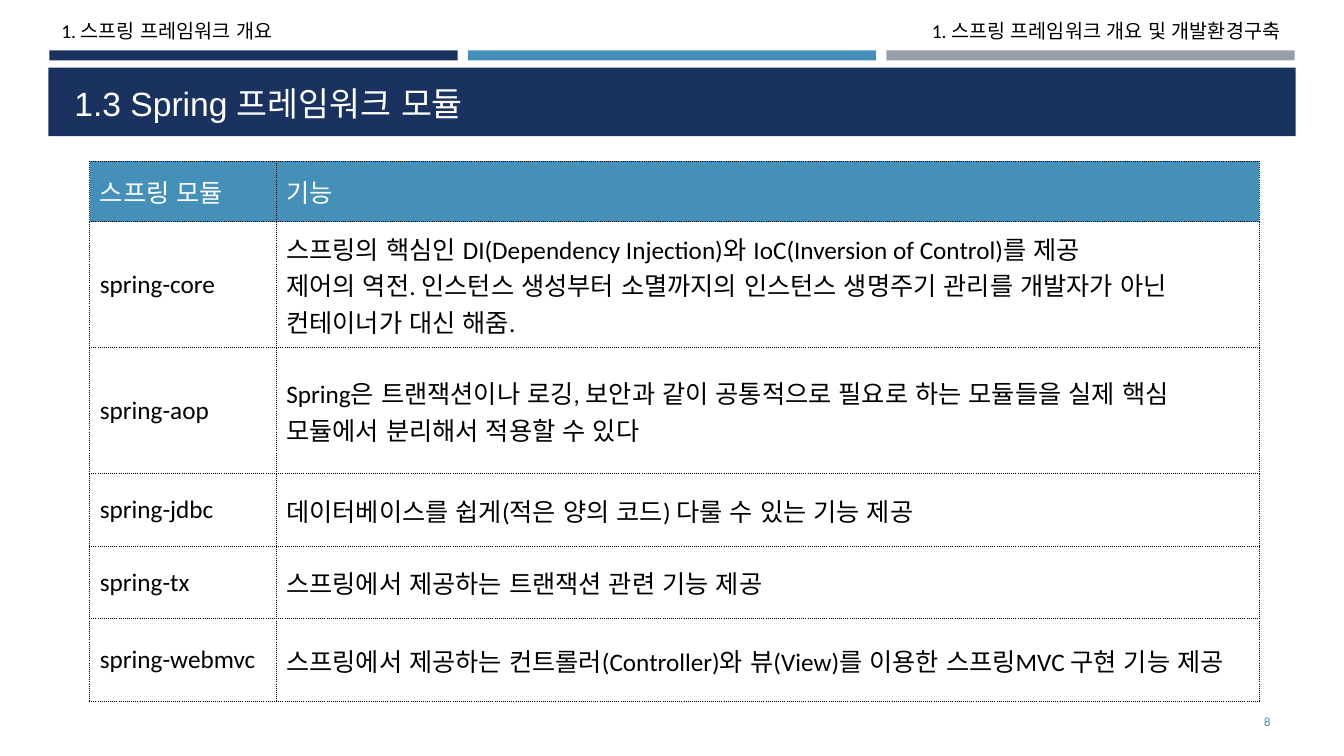
from lxml.etree import SubElement
from pptx import Presentation
from pptx.dml.color import RGBColor
from pptx.enum.lang import MSO_LANGUAGE_ID
from pptx.enum.shapes import MSO_SHAPE
from pptx.enum.text import MSO_ANCHOR, PP_ALIGN
from pptx.oxml.ns import qn
from pptx.util import Pt

NAVY = RGBColor(0x1A, 0x32, 0x60)
BLUE = RGBColor(0x45, 0x90, 0xB8)
GRAY = RGBColor(0x96, 0x9F, 0xA7)
BLACK = RGBColor(0, 0, 0)
WHITE = RGBColor(255, 255, 255)

SECTION = "1. 스프링 프레임워크 개요"
CHAPTER = "1. 스프링 프레임워크 개요 및 개발환경구축"
TITLE = "1.3 Spring 프레임워크 모듈"
PAGE_NUMBER = "8"
MODULES = [
    ("스프링 모듈", "기능"),
    ("spring-core",
     "스프링의 핵심인 DI(Dependency Injection)와 IoC(Inversion of Control)를 제공\n"
     "제어의 역전. 인스턴스 생성부터 소멸까지의 인스턴스 생명주기 관리를 개발자가 아닌 컨테이너가 대신 해줌."),
    ("spring-aop",
     "Spring은 트랜잭션이나 로깅, 보안과 같이 공통적으로 필요로 하는 모듈들을 실제 핵심 모듈에서 분리해서 적용할 수 있다"),
    ("spring-jdbc", "데이터베이스를 쉽게(적은 양의 코드) 다룰 수 있는 기능 제공"),
    ("spring-tx", "스프링에서 제공하는 트랜잭션 관련 기능 제공"),
    ("spring-webmvc",
     "스프링에서 제공하는 컨트롤러(Controller)와 뷰(View)를 이용한 스프링MVC 구현 기능 제공"),
]
COLUMN_WIDTHS = [185, 975]
ROW_HEIGHTS = [60, 125, 125, 72, 72, 82]
STRIPE_COLORS = [NAVY, BLUE, GRAY]
STRIPE_LEFT, STRIPE_WIDTH, STRIPE_STEP = 49, 405, 415

EMU_PER_PX = 9144


def px(*lengths):
    return [length * EMU_PER_PX for length in lengths]


def write_text(frame, text, size=18, color=BLACK, font="Calibri", align=PP_ALIGN.LEFT):
    frame.word_wrap = True
    frame.text = text
    for paragraph in frame.paragraphs:
        paragraph.alignment = align
        for run in paragraph.runs:
            run.font.size = Pt(size)
            run.font.name = font
            run.font.color.rgb = color
            run.font.language_id = MSO_LANGUAGE_ID.KOREAN


def add_text(slide, box, text, anchor=MSO_ANCHOR.TOP, **text_format):
    frame = slide.shapes.add_textbox(*px(*box)).text_frame
    frame.vertical_anchor = anchor
    write_text(frame, text, **text_format)


def add_bar(slide, box, color):
    shape = slide.shapes.add_shape(MSO_SHAPE.RECTANGLE, *px(*box))
    shape.shadow.inherit = False
    shape.fill.solid()
    shape.fill.fore_color.rgb = color
    shape.line.fill.background()


def add_dotted_borders(cell):
    properties = cell._tc.get_or_add_tcPr()
    for position, side in enumerate(("lnL", "lnR", "lnT", "lnB")):
        line = SubElement(properties, qn(f"a:{side}"), w=str(Pt(1)))
        fill = SubElement(line, qn("a:solidFill"))
        SubElement(fill, qn("a:srgbClr"), val=str(BLACK))
        SubElement(line, qn("a:prstDash"), val="sysDot")
        properties.insert(position, line)


def add_module_table(slide):
    box = px(89, 160, sum(COLUMN_WIDTHS), sum(ROW_HEIGHTS))
    table = slide.shapes.add_table(len(MODULES), len(COLUMN_WIDTHS), *box).table
    table.first_row = False
    table.horz_banding = False
    for column, width in zip(table.columns, px(*COLUMN_WIDTHS)):
        column.width = width
    for row, height in zip(table.rows, px(*ROW_HEIGHTS)):
        row.height = height
    for row_index, texts in enumerate(MODULES):
        is_header = row_index == 0
        for column_index, text in enumerate(texts):
            cell = table.cell(row_index, column_index)
            cell.vertical_anchor = MSO_ANCHOR.MIDDLE
            write_text(cell.text_frame, text, color=WHITE if is_header else BLACK)
            if is_header:
                cell.fill.solid()
                cell.fill.fore_color.rgb = BLUE
            else:
                cell.fill.background()
            add_dotted_borders(cell)


def main():
    presentation = Presentation()
    presentation.slide_width, presentation.slide_height = px(1333, 750)
    slide = presentation.slides.add_slide(presentation.slide_layouts[6])
    for index, color in enumerate(STRIPE_COLORS):
        add_bar(slide, (STRIPE_LEFT + index * STRIPE_STEP, 50, STRIPE_WIDTH, 10), color)
    add_bar(slide, (48, 67, 1237, 68), NAVY)
    add_text(slide, (51, 14, 400, 33), SECTION, size=14)
    add_text(slide, (876, 14, 404, 34), CHAPTER, size=14, align=PP_ALIGN.RIGHT)
    add_text(slide, (64, 72, 1206, 55), TITLE, MSO_ANCHOR.BOTTOM,
             size=24, color=WHITE, font="Arial")
    add_module_table(slide)
    add_text(slide, (1155, 696, 115, 40), PAGE_NUMBER, MSO_ANCHOR.MIDDLE,
             size=9, color=BLUE, align=PP_ALIGN.RIGHT)
    presentation.save("out.pptx")


if __name__ == "__main__":
    main()
